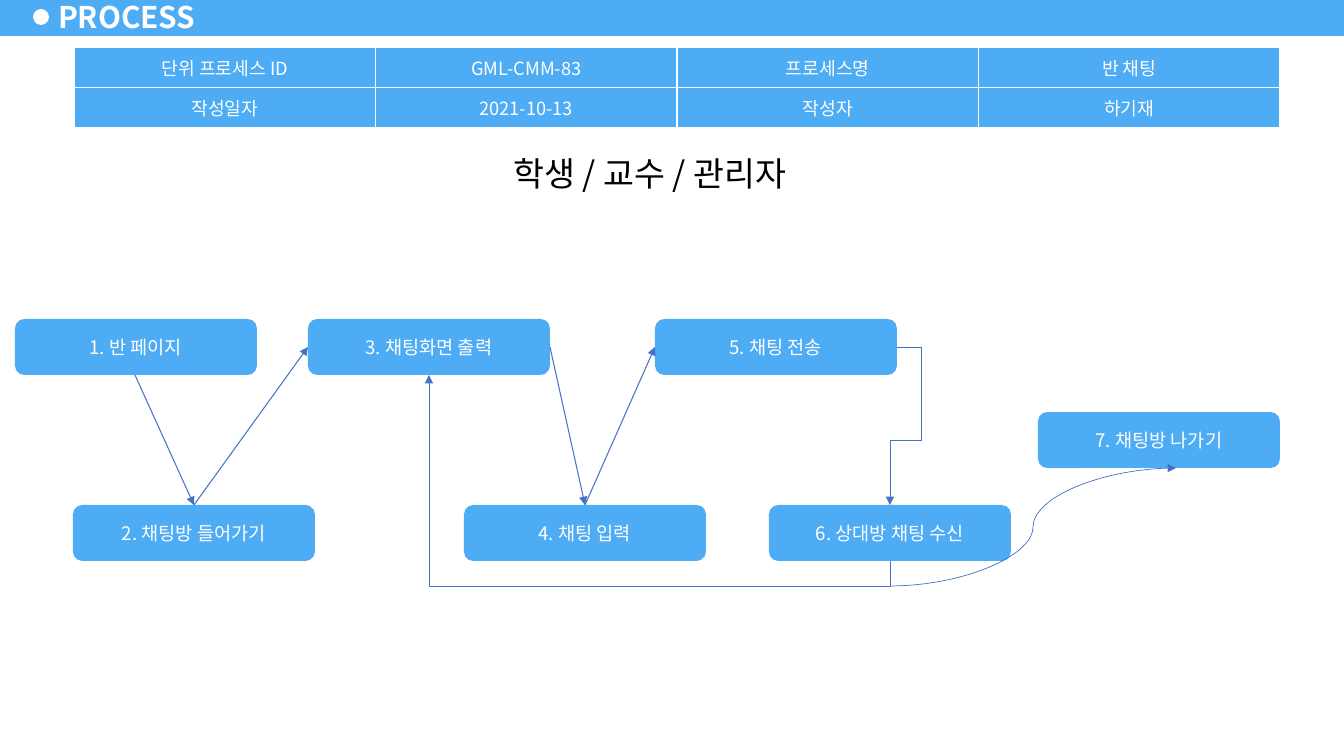
from lxml.etree import SubElement
from pptx import Presentation
from pptx.dml.color import RGBColor
from pptx.enum.shapes import MSO_CONNECTOR as CONNECTOR, MSO_SHAPE as SHAPE
from pptx.enum.text import MSO_ANCHOR as ANCHOR, PP_ALIGN as ALIGN
from pptx.oxml.ns import qn
from pptx.util import Emu, Inches, Pt

COLORS = {"blue": "4DACF3", "arrow": "4472C4", "white": "FFFFFF", "black": "000000"}
FONT = "Noto Sans CJK KR"
STEP_WIDTH, STEP_HEIGHT = 242, 56
UPPER, MIDDLE, LOWER = 319, 412, 505
STEPS = [
    ("1. 반 페이지", 15, UPPER),
    ("2. 채팅방 들어가기", 73, LOWER),
    ("3. 채팅화면 출력", 308, UPPER),
    ("4. 채팅 입력", 464, LOWER),
    ("5. 채팅 전송", 655, UPPER),
    ("6. 상대방 채팅 수신", 769, LOWER),
    ("7. 채팅방 나가기", 1038, MIDDLE),
]
PROCESS_INFO = [
    ["단위 프로세스 ID", "GML-CMM-83", "프로세스명", "반 채팅"],
    ["작성일자", "2021-10-13", "작성자", "하기재"],
]


def px(value):
    return Emu(round(value * 914400 / 100.8))


def color(name):
    return RGBColor.from_string(COLORS[name])


def format_text(frame, text, size, color_name, align=ALIGN.CENTER, bold=False):
    frame.text = text
    paragraph = frame.paragraphs[0]
    paragraph.alignment = align
    font = paragraph.font
    font.size, font.bold, font.name = Pt(size), bold, FONT
    font.color.rgb = color(color_name)
    SubElement(font._rPr, qn("a:ea")).set("typeface", FONT)


def set_margins(target, horizontal, vertical):
    target.margin_left = target.margin_right = Inches(horizontal)
    target.margin_top = target.margin_bottom = Inches(vertical)


def add_block(slide, kind, left, top, width, height, fill):
    shape = slide.shapes.add_shape(kind, px(left), px(top), px(width), px(height))
    shape.shadow.inherit = False
    shape.fill.solid()
    shape.fill.fore_color.rgb = color(fill)
    shape.line.fill.background()
    set_margins(shape.text_frame, 0.13, 0.07)
    return shape


def add_header(slide):
    add_block(slide, SHAPE.RECTANGLE, 0, -2, 1344, 38, "blue")
    add_block(slide, SHAPE.OVAL, 33, 9, 16, 16, "white")
    title = slide.shapes.title
    slide.shapes._spTree.append(title._element)
    title.left, title.top, title.width, title.height = px(47), px(-5), px(164), px(43)
    frame = title.text_frame
    format_text(frame, "PROCESS", 21.3, "white", ALIGN.LEFT, True)
    frame.vertical_anchor = ANCHOR.MIDDLE
    frame.word_wrap = False
    set_margins(frame, 0.11, 0.06)


def add_border(cell):
    properties = cell._tc.get_or_add_tcPr()
    for position, side in enumerate(("lnL", "lnR", "lnT", "lnB")):
        line = properties.makeelement(qn(f"a:{side}"), {"w": str(Pt(1))})
        fill = SubElement(line, qn("a:solidFill"))
        SubElement(fill, qn("a:srgbClr")).set("val", COLORS["white"])
        properties.insert(position, line)


def add_info_table(slide):
    frame = slide.shapes.add_table(2, 4, px(74), px(47), px(1206), px(76))
    table = frame.table
    table.first_row = table.horz_banding = False
    for row, texts in enumerate(PROCESS_INFO):
        for column, text in enumerate(texts):
            cell = table.cell(row, column)
            cell.fill.solid()
            cell.fill.fore_color.rgb = color("blue")
            cell.vertical_anchor = ANCHOR.MIDDLE
            set_margins(cell, 0.13, 0.07)
            format_text(cell.text_frame, text, 13, "white")
            add_border(cell)


def add_step(slide, text, left, top):
    step = add_block(slide, SHAPE.ROUNDED_RECTANGLE, left, top, STEP_WIDTH, STEP_HEIGHT, "blue")
    step.text_frame.vertical_anchor = ANCHOR.MIDDLE
    format_text(step.text_frame, text, 13.3, "white")


def add_arrow(slide, start, end, kind=CONNECTOR.STRAIGHT, width=0.5):
    points = [px(value) for value in (*start, *end)]
    arrow = slide.shapes.add_connector(kind, *points)
    arrow.line.color.rgb = color("arrow")
    arrow.line.width = Pt(width)
    SubElement(arrow.line._get_or_add_ln(), qn("a:tailEnd")).set("type", "triangle")
    SubElement(arrow._element.spPr, qn("a:effectLst"))
    return arrow


def set_bends(arrow, preset, *ratios):
    geometry = arrow._element.spPr.find(qn("a:prstGeom"))
    geometry.set("prst", preset)
    guides = geometry.find(qn("a:avLst"))
    if guides is None:
        guides = SubElement(geometry, qn("a:avLst"))
    for number, ratio in enumerate(ratios, 1):
        name = "adj" if preset.endswith("3") and len(ratios) == 0 else f"adj{number}"
        guide = SubElement(guides, qn("a:gd"))
        guide.set("name", name)
        guide.set("fmla", f"val {round(ratio * 100000)}")


def add_return_arrow(slide, start, end, drop):
    """Add an elbow that leaves downwards and comes back up, as a quarter-turned connector."""
    middle_x, middle_y = (start[0] + end[0]) / 2, (start[1] + end[1]) / 2
    half_width, half_height = (start[1] - end[1]) / 2, (start[0] - end[0]) / 2
    arrow = add_arrow(slide, (middle_x + half_width, middle_y - half_height),
                      (middle_x - half_width, middle_y + half_height), CONNECTOR.ELBOW)
    arrow._element.spPr.find(qn("a:xfrm")).set("rot", str(90 * 60000))
    set_bends(arrow, "bentConnector3", -drop / (2 * half_width))


def add_flow(slide):
    side = UPPER + STEP_HEIGHT // 2
    zigzags = [
        [(135, UPPER + STEP_HEIGHT), (194, LOWER), (308, side)],
        [(550, side), (585, LOWER), (655, side)],
    ]
    for zigzag in zigzags:
        for start, end in zip(zigzag, zigzag[1:]):
            add_arrow(slide, start, end, width=0.75)
    receive = add_arrow(slide, (897, side), (890, LOWER), CONNECTOR.ELBOW)
    set_bends(receive, "bentConnector4", -25 / 7, 0.59)
    add_return_arrow(slide, (890, LOWER + STEP_HEIGHT), (429, UPPER + STEP_HEIGHT), 25)
    add_arrow(slide, (890, 586), (1176, MIDDLE + STEP_HEIGHT), CONNECTOR.CURVE)


def main():
    presentation = Presentation()
    presentation.slide_width, presentation.slide_height = px(1344), px(756)
    slide = presentation.slides.add_slide(presentation.slide_layouts[5])
    add_header(slide)
    roles = add_block(slide, SHAPE.RECTANGLE, 410, 146, 480, 54, "white")
    roles.text_frame.vertical_anchor = ANCHOR.TOP
    format_text(roles.text_frame, "학생 / 교수 / 관리자", 24, "black")
    add_info_table(slide)
    for step in STEPS:
        add_step(slide, *step)
    add_flow(slide)
    presentation.save("out.pptx")


main()
